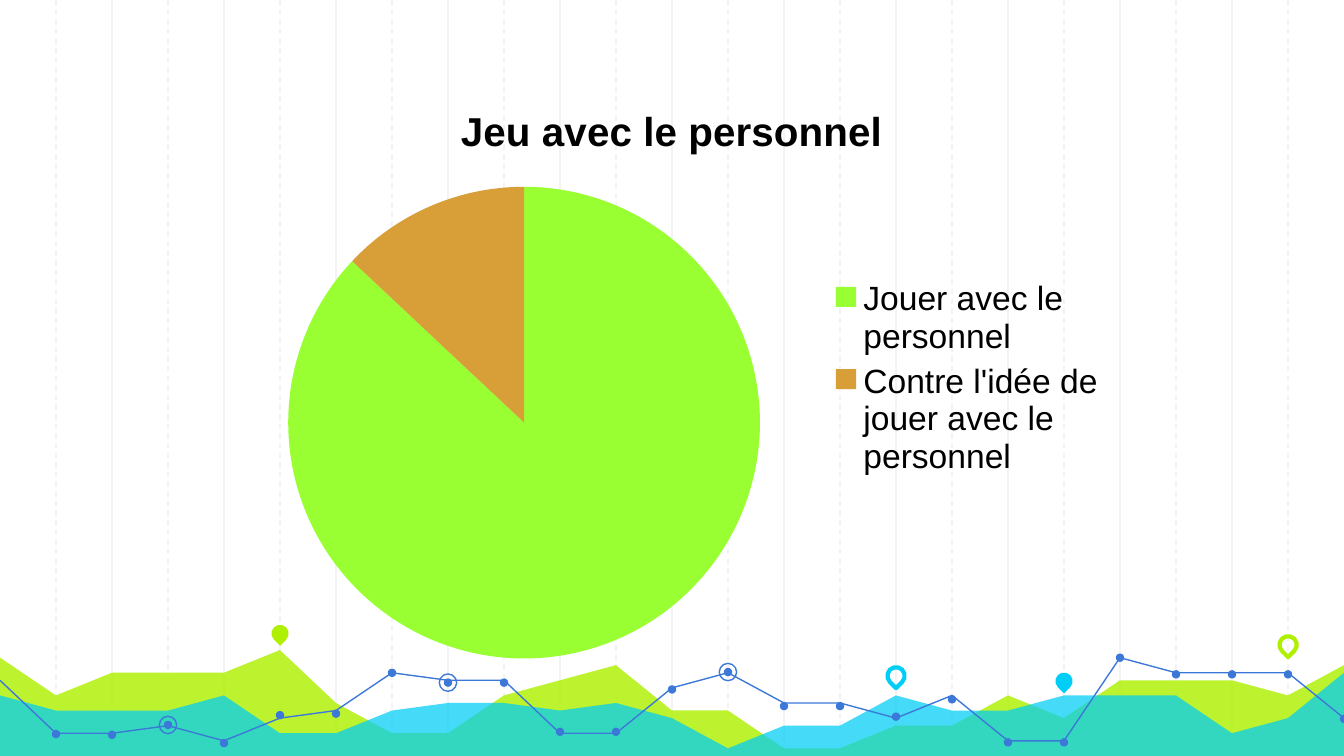
import pptx
import pptx.chart.data
import pptx.dml.color
import pptx.enum.chart
import pptx.enum.dml
import pptx.enum.shapes
import pptx.oxml
import pptx.oxml.ns
import pptx.util

RGB = pptx.dml.color.RGBColor
GRID = RGB(0xF3, 0xF3, 0xF3)
LIME = RGB(0xAF, 0xF0, 0x00)
CYAN = RGB(0x00, 0xCE, 0xF6)
BLUE = RGB(0x3C, 0x78, 0xD8)
BLACK = RGB(0x00, 0x00, 0x00)
SLICE_COLORS = RGB(0x99, 0xFF, 0x33), RGB(0xD8, 0x9F, 0x39)
SHAPE = pptx.enum.shapes.MSO_SHAPE

deck = pptx.Presentation()
deck.slide_width = pptx.util.Inches(10)
deck.slide_height = pptx.util.Inches(5.625)
slide = deck.slides.add_slide(deck.slide_layouts[6])
shapes = slide.shapes

# Grid: 24 columns across, 100 rows down
COLUMNS = 24
COL = deck.slide_width / COLUMNS
ROW = deck.slide_height / 100
DOT = round(0.15 * COL)
MARK = round(0.31 * COL)


def write(frame, text, *, size, color=BLACK, bold=False, font="Arial"):
    frame.text = text
    style = frame.paragraphs[0].runs[0].font
    style.size, style.bold, style.name = pptx.util.Pt(size), bold, font
    style.color.rgb = color


def paint(shape, fill=None, line=None, width=0.75, alpha=None):
    shape.shadow.inherit = False
    if fill is None:
        shape.fill.background()
    else:
        shape.fill.solid()
        shape.fill.fore_color.rgb = fill
    if alpha:
        color = shape.fill._xPr.find(".//" + pptx.oxml.ns.qn("a:srgbClr"))
        opacity = pptx.oxml.parse_xml(
            f'<a:alpha {pptx.oxml.ns.nsdecls("a")} val="{alpha * 1000}"/>')
        color.append(opacity)
    if line is None:
        shape.line.fill.background()
    else:
        shape.line.color.rgb = line
        shape.line.width = pptx.util.Pt(width)


# Vertical rules: solid on even columns, dashed on odd ones
for column in [*range(2, COLUMNS, 2), *range(1, COLUMNS, 2)]:
    x = round(column * COL)
    rule = shapes.add_connector(
        pptx.enum.shapes.MSO_CONNECTOR.STRAIGHT, x, 0, x, deck.slide_height)
    rule.line.color.rgb = GRID
    rule.line.width = pptx.util.Pt(0.75)
    if column % 2:
        rule.line.dash_style = pptx.enum.dml.MSO_LINE.DASH
    rule._element.spPr.append(
        pptx.oxml.parse_xml(f'<a:effectLst {pptx.oxml.ns.nsdecls("a")}/>'))

# Translucent hills: one height per column, in rows
lime_hills = [86.8, 91.9, 88.9, 88.9, 88.9, 86.4, 93, 96.7, 96.7, 91.6, 90.3, 87.6, 93.7,
              93.9, 98.7, 98.7, 96.2, 96.2, 92.1, 94.6, 90.5, 90.4, 90.3, 91.9, 87.8]
cyan_hills = [91.7, 94.4, 94.4, 94.4, 92.3, 96.9, 96.9, 94.4, 93, 93, 94.2, 92.6, 95.1,
              99, 96.4, 96.4, 91.9, 94.4, 94.4, 92.3, 92.3, 92.3, 96.7, 95.1, 89.1]
for heights, color, alpha in ((lime_hills, LIME, 82), (cyan_hills, CYAN, 73)):
    outline = shapes.build_freeform(0, 100, scale=(COL, ROW))
    outline.add_line_segments([*enumerate(heights), (COLUMNS, 100)])
    paint(outline.convert_to_shape(), fill=color, alpha=alpha)

# Blue trend in three stretches, with a dot on each column
trend = [90.1, 97.1, 97.2, 95.9, 98.3, 94.6, 94.4, 89, 90.3, 90.3, 96.8, 96.8, 91.2,
         88.9, 93.4, 93.4, 94.8, 92.5, 98.2, 98.2, 87, 89.2, 89.2, 89.2, 95.1]
for first, last in ((0, 11), (11, 20), (20, 24)):
    stretch = shapes.build_freeform(first, trend[first], scale=(COL, ROW))
    stretch.add_line_segments(
        [(column, trend[column]) for column in range(first + 1, last + 1)], close=False)
    paint(stretch.convert_to_shape(), line=BLUE)

# Marks: kind, column, row, size and look
dots = [(SHAPE.OVAL, column, trend[column], DOT, {"fill": BLUE})
        for column in range(1, COLUMNS + 1)]
rings = [(SHAPE.OVAL, column, trend[column], MARK, {"line": BLUE}) for column in (3, 8, 13)]
pins = [(SHAPE.TEAR, 5, 83.8, MARK, {"fill": LIME}),
        (SHAPE.TEAR, 16, 89.4, MARK, {"line": CYAN, "width": 2.25}),
        (SHAPE.TEAR, 19, 90.1, MARK, {"fill": CYAN}),
        (SHAPE.TEAR, 23, 85.3, MARK, {"line": LIME, "width": 2.25})]
for kind, column, row, size, look in dots + rings + pins:
    mark = shapes.add_shape(
        kind, round(column * COL - size / 2), round(row * ROW - size / 2), size, size)
    if kind == SHAPE.TEAR:
        mark.rotation = 135
    paint(mark, **look)

# Pie chart
answers = pptx.chart.data.CategoryChartData()
answers.categories = ["Jouer avec le personnel", "Contre l'idée de jouer avec le personnel"]
answers.add_series("Jeu avec le personnel", [87, 13])
pie = shapes.add_chart(
    pptx.enum.chart.XL_CHART_TYPE.PIE, round(4 * COL), round(10.5 * ROW),
    round(16 * COL), round(79 * ROW), answers).chart
pie.font.name = "Arial"
pie.font.size = pptx.util.Pt(18)
pie.font.color.rgb = BLACK
pie.has_title = True
write(pie.chart_title.text_frame, "Jeu avec le personnel", size=21.6, bold=True)
pie.chart_title.include_in_layout = False
pie.has_legend = True
pie.legend.position = pptx.enum.chart.XL_LEGEND_POSITION.RIGHT
pie.legend.include_in_layout = False
pie.plots[0].vary_by_categories = True
for number, color in enumerate(SLICE_COLORS):
    slice_format = pie.plots[0].series[0].points[number].format
    slice_format.fill.solid()
    slice_format.fill.fore_color.rgb = color
    slice_format.line.fill.background()

# Place the pie within the chart, as shares of its size
plot_area = pie._chartSpace.chart.plotArea
for old_layout in plot_area.findall(pptx.oxml.ns.qn("c:layout")):
    plot_area.remove(old_layout)
plot_area.insert(0, pptx.oxml.parse_xml(
    f'<c:layout {pptx.oxml.ns.nsdecls("c")}><c:manualLayout><c:layoutTarget val="inner"/>'
    '<c:xMode val="edge"/><c:yMode val="edge"/><c:x val="0.07"/><c:y val="0.18"/>'
    '<c:w val="0.53"/><c:h val="0.79"/></c:manualLayout></c:layout>'))

deck.save("out.pptx")
